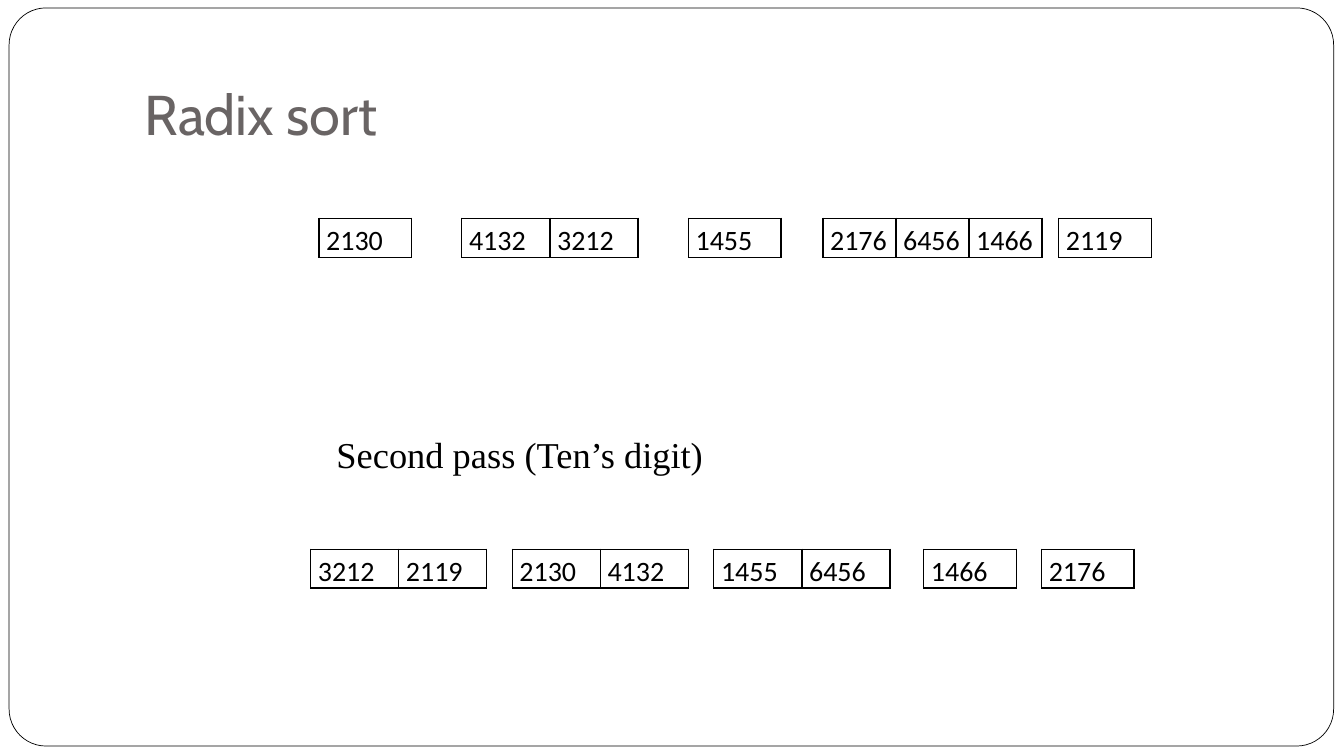
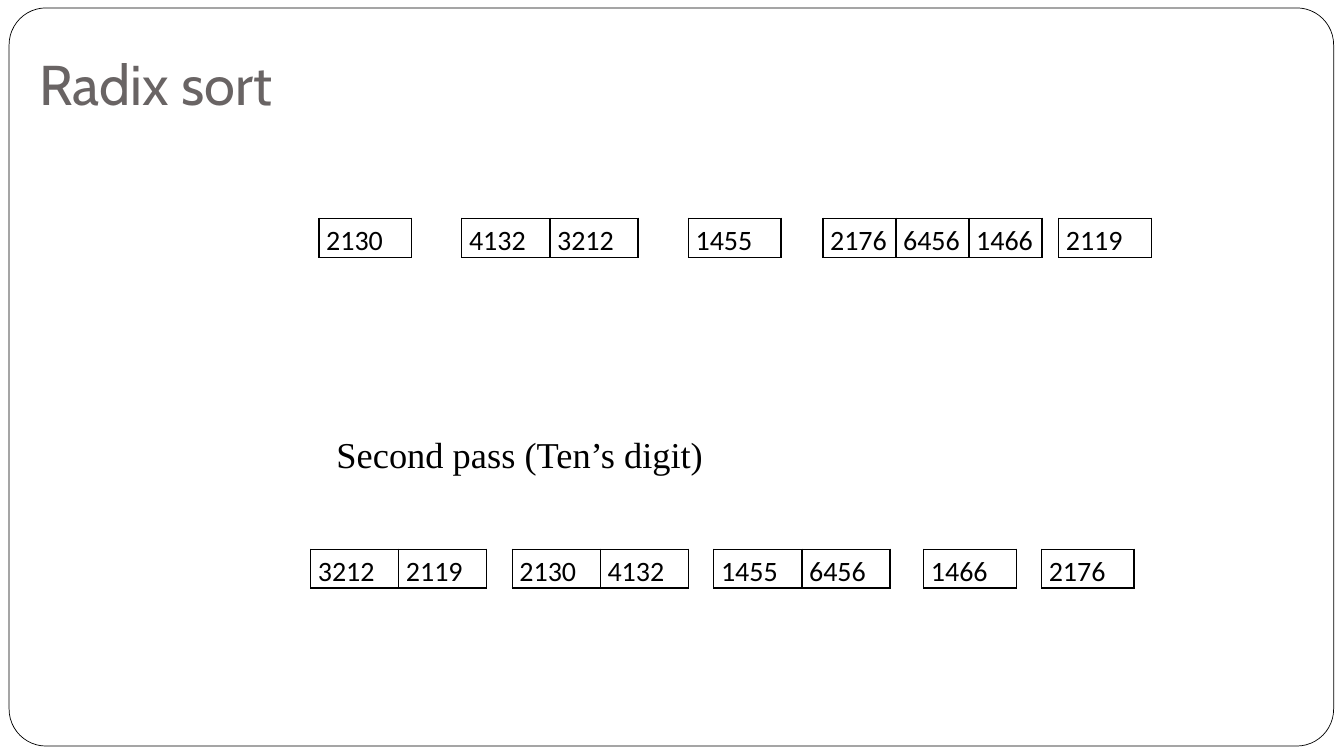
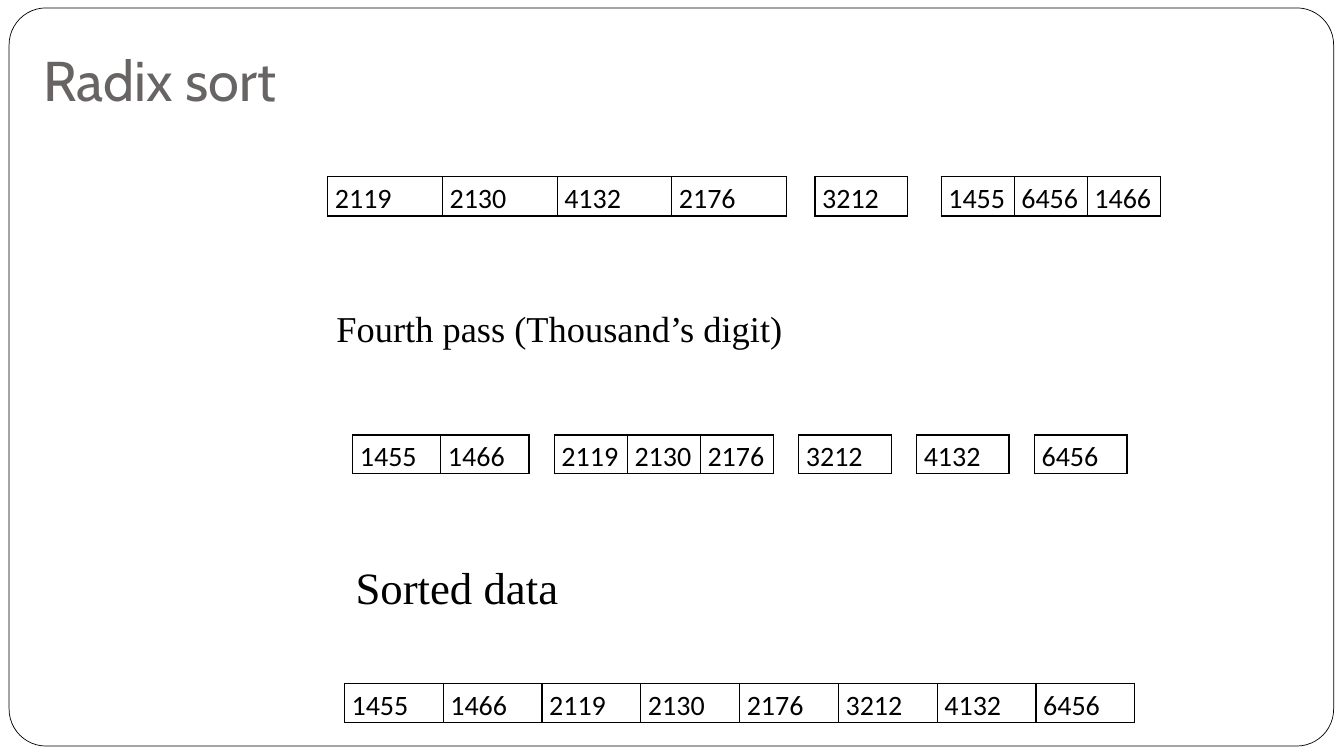
from lxml.etree import SubElement
from pptx import Presentation
from pptx.dml.color import RGBColor
from pptx.enum.shapes import MSO_SHAPE as Shape
from pptx.enum.text import MSO_ANCHOR as Anchor, MSO_AUTO_SIZE as AutoSize, PP_ALIGN as Align
from pptx.oxml.ns import qn
from pptx.util import Cm, Pt

BLACK = RGBColor(0x00, 0x00, 0x00)
WHITE = RGBColor(0xFF, 0xFF, 0xFF)
GREY = RGBColor(0x69, 0x64, 0x64)
TITLE_FONT, CAPTION_FONT, NUMBER_FONT = "Cabin", "Times New Roman", "Calibri"

ROW_HEIGHT = 0.97
# Column width in cm by the number of values in a bucket
COLUMN_WIDTHS = {1: 2.33, 2: 2.22, 3: 1.84, 4: 2.89, 8: 2.49}

# Each bucket: gap before it in cm, then its values
FIRST_PASS = [(0, "2130"), (1.27, "4132 3212"), (1.27, "1455"),
              (1.06, "2176 6456 1466"), (0.42, "2119")]
SECOND_PASS = [(0, "3212 2119"), (0.64, "2130 4132"), (0.64, "1455 6456"),
               (0.85, "1466"), (0.64, "2176")]
THIRD_PASS = [(0, "2119 2130 4132 2176"), (0.72, "3212"), (0.85, "1455 6456 1466")]
FOURTH_PASS = [(0, "1455 1466"), (0.64, "2119 2130 2176"), (0.64, "3212"),
               (0.64, "4132"), (0.64, "6456")]
SORTED = [(0, "1455 1466 2119 2130 2176 3212 4132 6456")]


def write(frame, text, *, font, size, color=BLACK, line_spacing=None):
    paragraph = frame.paragraphs[0]
    paragraph.alignment = Align.LEFT
    if line_spacing:
        paragraph.line_spacing = line_spacing
    run = paragraph.add_run()
    run.text = text
    run.font.name = font
    run.font.size = Pt(size)
    run.font.color.rgb = color


def add_frame(slide):
    """Draw the rounded page frame and hand it to the layout all slides share."""
    frame = slide.shapes.add_shape(
        Shape.ROUNDED_RECTANGLE, Cm(0.23), Cm(0.2), Cm(33.38), Cm(18.6))
    frame.adjustments[0] = 0.05
    frame.shadow.inherit = False
    frame.fill.solid()
    frame.fill.fore_color.rgb = WHITE
    frame.line.color.rgb = BLACK
    frame.line.width = Pt(0.5)
    slide.slide_layout.shapes._spTree.insert(2, frame._element)


def add_titled_slide(prs, left, top):
    slide = prs.slides.add_slide(prs.slide_layouts[5])
    title = slide.shapes.title
    title.left, title.top, title.width, title.height = Cm(left), Cm(top), Cm(28.78), Cm(3.18)
    frame = title.text_frame
    frame.auto_size = AutoSize.NONE
    frame.vertical_anchor = Anchor.BOTTOM
    frame.margin_bottom = Cm(0.25)
    write(frame, "Radix sort", font=TITLE_FONT, size=40, color=GREY)
    return slide


def add_caption(slide, text, left, top, size=26):
    box = slide.shapes.add_textbox(Cm(left), Cm(top), Cm(20.8), Cm(1.8))
    box.text_frame.word_wrap = True
    write(box.text_frame, text, font=CAPTION_FONT, size=size)


def add_borders(cell):
    properties = cell._tc.get_or_add_tcPr()
    for side in ("lnL", "lnR", "lnT", "lnB"):
        line = SubElement(properties, qn(f"a:{side}"), w=str(Pt(1)))
        fill = SubElement(line, qn("a:solidFill"))
        SubElement(fill, qn("a:srgbClr"), val=str(BLACK))


def add_bucket(slide, values, left, top):
    """Add a one-row table and return its width in cm."""
    column = COLUMN_WIDTHS[len(values)]
    width = column * len(values)
    table = slide.shapes.add_table(
        1, len(values), Cm(left), Cm(top), Cm(width), Cm(ROW_HEIGHT)).table
    table.first_row = table.horz_banding = False
    for index, value in enumerate(values):
        table.columns[index].width = Cm(column)
        cell = table.cell(0, index)
        cell.margin_left = cell.margin_right = Cm(0.18)
        cell.margin_top = cell.margin_bottom = 0
        add_borders(cell)
        cell.fill.background()
        write(cell.text_frame, value, font=NUMBER_FONT, size=20, line_spacing=1.15)
    return width


def add_bucket_row(slide, buckets, left, top):
    for gap, values in buckets:
        left += gap
        left += add_bucket(slide, values.split(), left, top)


def add_second_pass_slide(prs, title_left, title_top):
    slide = add_titled_slide(prs, title_left, title_top)
    add_bucket_row(slide, FIRST_PASS, 8.04, 5.5)
    add_caption(slide, "Second pass (Ten’s digit)", 8.23, 10.77)
    add_bucket_row(slide, SECOND_PASS, 7.83, 13.84)
    return slide


def add_fourth_pass_slide(prs, title_left, title_top):
    slide = add_titled_slide(prs, title_left, title_top)
    add_bucket_row(slide, THIRD_PASS, 8.26, 4.45)
    add_caption(slide, "Fourth pass (Thousand’s digit)", 8.23, 7.59)
    add_bucket_row(slide, FOURTH_PASS, 8.89, 10.96)
    add_caption(slide, "Sorted data", 8.71, 13.97, size=32)
    add_bucket_row(slide, SORTED, 8.68, 17.23)


def main():
    prs = Presentation()
    prs.slide_width, prs.slide_height = Cm(33.87), Cm(19.05)
    add_frame(add_second_pass_slide(prs, 3.39, 0.76))
    add_second_pass_slide(prs, 0.74, 0)
    add_fourth_pass_slide(prs, 0.84, -0.08)
    prs.save("out.pptx")


if __name__ == "__main__":
    main()
